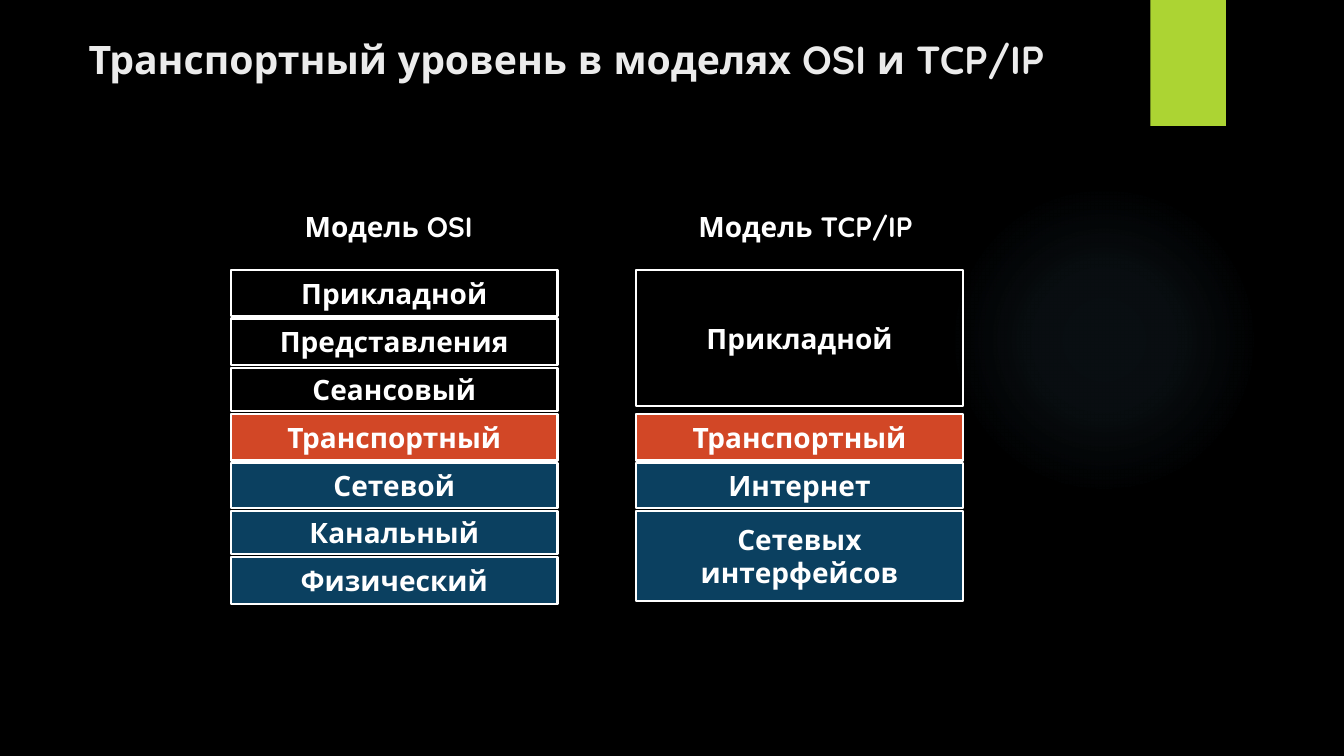
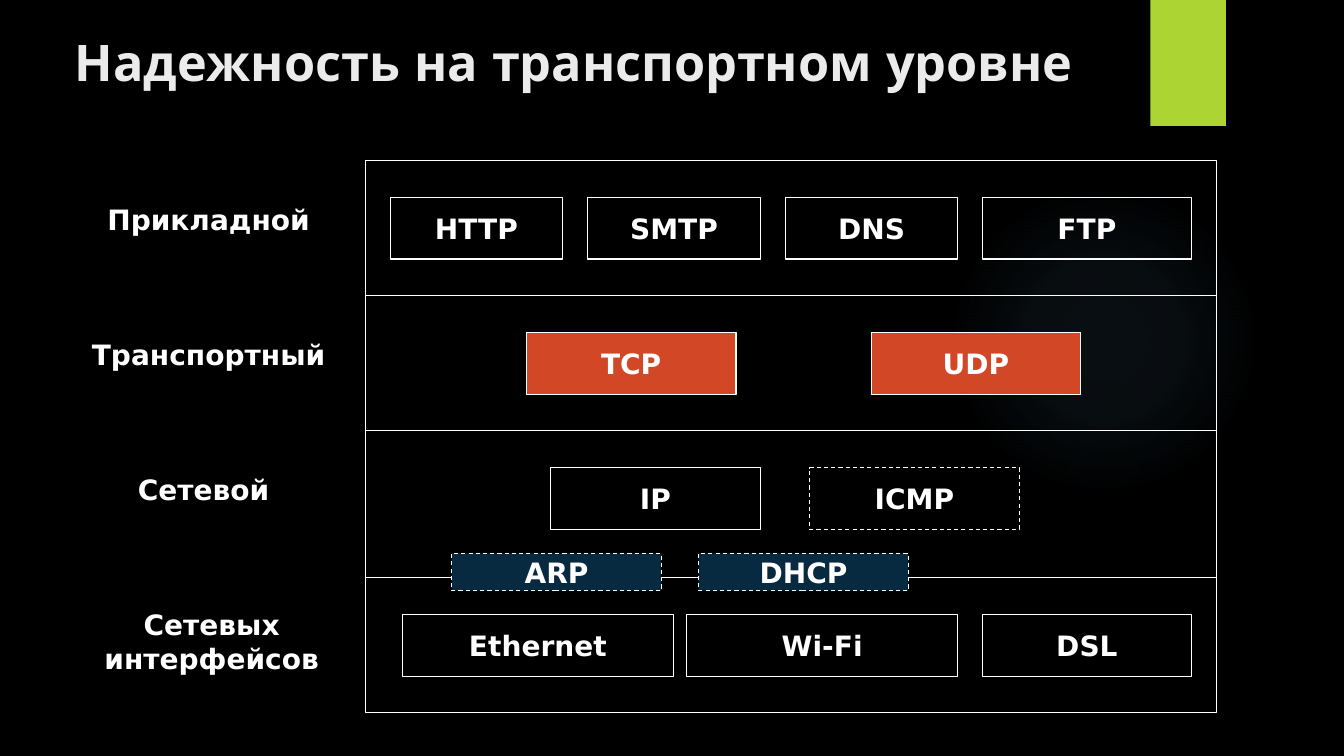
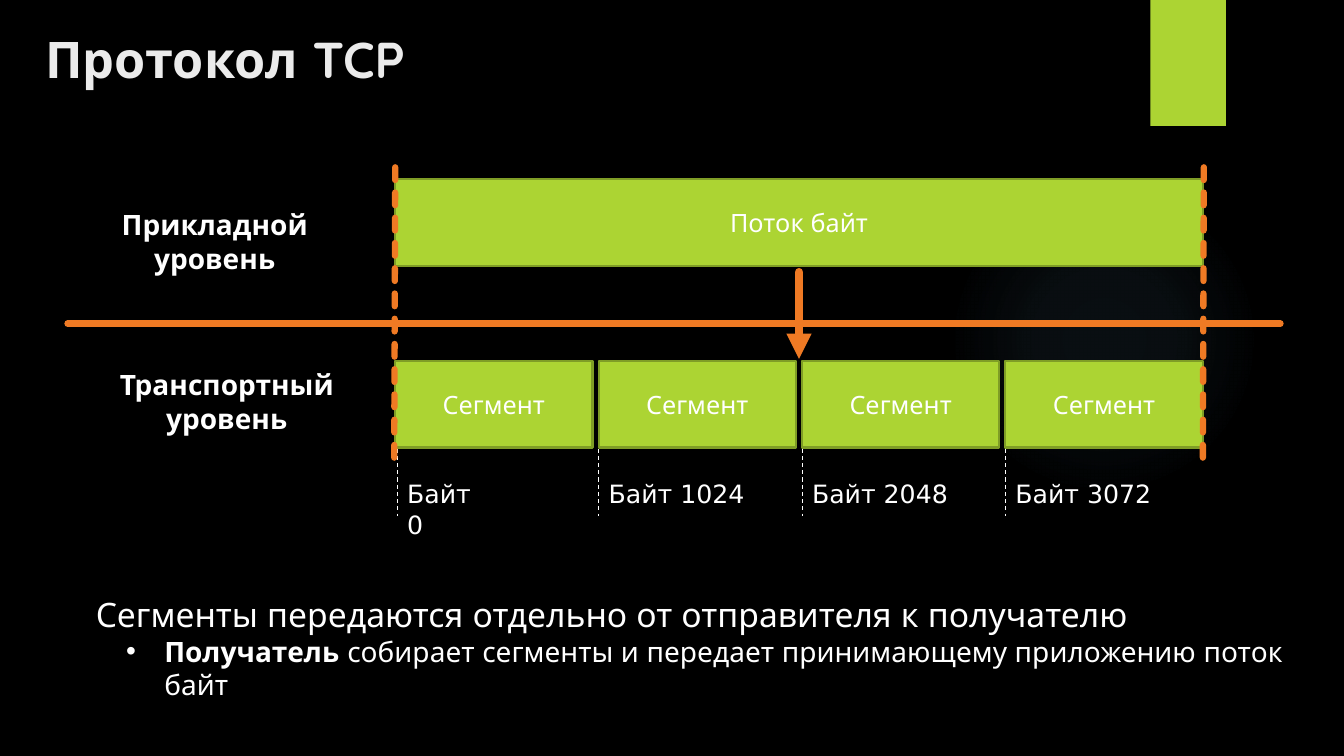
from dataclasses import dataclass

from lxml import etree
from pptx import Presentation
from pptx.dml.color import RGBColor
from pptx.enum.dml import MSO_LINE
from pptx.enum.shapes import MSO_CONNECTOR, MSO_SHAPE
from pptx.enum.text import MSO_ANCHOR as Anchor, MSO_AUTO_SIZE as AutoSize, PP_ALIGN as Align
from pptx.oxml import parse_xml
from pptx.oxml.ns import nsdecls, qn
from pptx.util import Inches, Pt


@dataclass(frozen=True)
class Theme:
    background: str = "000000"
    text: str = "FFFFFF"
    title: str = "EBEBEB"
    lime: str = "ACD433"
    lime_edge: str = "7F9D26"
    orange: str = "EF7A24"
    red: str = "D24726"
    blue: str = "0B4060"
    navy: str = "072A40"
    glow: str = "7AC4F0"
    font: str = "Quicksand"
    plain_font: str = "DejaVu Sans"
    title_size: int = 36
    long_title_size: int = 28
    lead_size: int = 24
    label_size: int = 20
    small_size: int = 18


THEME = Theme()


def rgb(color):
    return RGBColor.from_string(color)


def inches(*lengths):
    return [Inches(length) for length in lengths]


def style(paragraph, size, color=THEME.text, font=THEME.font, bold=None, align=None):
    paragraph.alignment = align
    paragraph.font.size = Pt(size)
    paragraph.font.name = font
    paragraph.font.color.rgb = rgb(color)
    if bold is not None:
        paragraph.font.bold = bold


def set_line(line, color, width, dash=None):
    line.color.rgb = rgb(color)
    line.width = Pt(width)
    if dash is not None:
        line.dash_style = dash


def add_box(slide, box, text="", fill=None, edge=THEME.text, width=0.75, dash=None,
            wrap=True, size=THEME.label_size, font=THEME.font, bold=True):
    """Add an outlined rectangle with centred text; no fill colour leaves it open."""
    rect = slide.shapes.add_shape(MSO_SHAPE.RECTANGLE, *inches(*box))
    rect.shadow.inherit = False
    if fill:
        rect.fill.solid()
        rect.fill.fore_color.rgb = rgb(fill)
    else:
        rect.fill.background()
    set_line(rect.line, edge, width, dash)
    if text:
        frame = rect.text_frame
        frame.word_wrap = wrap
        frame.vertical_anchor = Anchor.MIDDLE
        frame.text = text
        style(frame.paragraphs[0], size, font=font, bold=bold, align=Align.CENTER)


def add_label(slide, box, text, wrap=True, size=THEME.label_size, font=THEME.font,
              bold=True, align=Align.CENTER):
    frame = slide.shapes.add_textbox(*inches(*box)).text_frame
    frame.word_wrap = wrap
    frame.auto_size = AutoSize.SHAPE_TO_FIT_TEXT
    frame.text = text
    style(frame.paragraphs[0], size, font=font, bold=bold, align=align)


def add_line(slide, start, end, color=THEME.text, width=0.75, dash=None,
             rounded=False, arrow=False):
    connector = slide.shapes.add_connector(
        MSO_CONNECTOR.STRAIGHT, *inches(*start), *inches(*end))
    set_line(connector.line, color, width, dash)
    properties = connector.element.spPr
    outline = properties.find(qn("a:ln"))
    if rounded:
        outline.set("cap", "rnd")
    if arrow:
        etree.SubElement(outline, qn("a:tailEnd")).set("type", "triangle")
    etree.SubElement(properties, qn("a:effectLst"))


def place(placeholder, box):
    placeholder.left, placeholder.top, placeholder.width, placeholder.height = inches(*box)
    frame = placeholder.text_frame
    frame.vertical_anchor = Anchor.TOP
    frame.auto_size = AutoSize.NONE
    return frame


def add_titled_slide(prs, layout, title, box, size=THEME.title_size):
    slide = prs.slides.add_slide(layout)
    frame = place(slide.shapes.title, box)
    frame.text = title
    style(frame.paragraphs[0], size, THEME.title, bold=True, align=Align.LEFT)
    return slide


def decorate_master(prs, slide):
    """Give the master its black background, glow and lime tab, drawn by way of a slide."""
    master = prs.slide_master
    master.background.fill.solid()
    master.background.fill.fore_color.rgb = rgb(THEME.background)

    glow = slide.shapes.add_shape(MSO_SHAPE.OVAL, *inches(9.41, 1.83, 3.08, 3.08))
    tab = slide.shapes.add_shape(MSO_SHAPE.RECTANGLE, *inches(11.41, 0, 0.75, 1.25))
    for ornament in (glow, tab):
        ornament.shadow.inherit = False
        ornament.line.fill.background()
    tab.fill.solid()
    tab.fill.fore_color.rgb = rgb(THEME.lime)

    stops = "".join(
        f'<a:gs pos="{position * 1000}"><a:srgbClr val="{THEME.glow}">'
        f'<a:alpha val="{alpha * 1000}"/></a:srgbClr></a:gs>'
        for position, alpha in ((0, 7), (36, 6), (69, 0)))
    gradient = parse_xml(
        f'<a:gradFill {nsdecls("a")}><a:gsLst>{stops}</a:gsLst><a:path path="circle">'
        '<a:fillToRect l="50000" t="50000" r="50000" b="50000"/></a:path></a:gradFill>')
    glow.element.spPr.find(qn("a:prstGeom")).addnext(gradient)

    tree = master.element.cSld.spTree
    for index, ornament in enumerate((glow, tab), start=2):
        tree.insert(index, ornament.element)


def add_layer_stack(slide, left, top, layers):
    for name, offset, height, fill in layers:
        add_box(slide, (left, top + offset, 3.24, height), name, fill, width=1.5)


def build_models(slide):
    stacks_top = 2.68
    add_layer_stack(slide, 2.29, stacks_top, (
        ("Прикладной", 0, 0.46, None),
        ("Представления", 0.48, 0.46, None),
        ("Сеансовый", 0.97, 0.43, None),
        ("Транспортный", 1.43, 0.46, THEME.red),
        ("Сетевой", 1.91, 0.45, THEME.blue),
        ("Канальный", 2.39, 0.43, THEME.blue),
        ("Физический", 2.85, 0.46, THEME.blue),
    ))
    add_layer_stack(slide, 6.31, stacks_top, (
        ("Прикладной", 0, 1.35, None),
        ("Транспортный", 1.43, 0.46, THEME.red),
        ("Интернет", 1.91, 0.45, THEME.blue),
        ("Сетевых интерфейсов", 2.39, 0.89, THEME.blue),
    ))
    add_label(slide, (2.45, 2.03, 2.81, 0.44), "Модель OSI")
    add_label(slide, (6.34, 2.03, 3.3, 0.44), "Модель TCP/IP")


def build_protocol_map(slide, left, top, width, height):
    """Draw the level rows with their labels at the left and their protocols inside."""
    plain = {"font": THEME.plain_font, "wrap": False}
    dash = MSO_LINE.DASH
    # level, row offset, label offset, label centre from the frame's left edge,
    # protocols (name, offset, width, fill, dash)
    levels = (
        ("Прикладной", 0, 0.37, -1.56, (
            ("HTTP", 0.24, 1.71, None, None), ("SMTP", 2.2, 1.71, None, None),
            ("DNS", 4.16, 1.71, None, None), ("FTP", 6.11, 2.08, None, None))),
        ("Транспортный", 1.34, 0.37, -1.56, (
            ("TCP", 1.59, 2.08, THEME.red, None), ("UDP", 5.01, 2.08, THEME.red, None))),
        ("Сетевой", 2.68, 0.37, -1.61, (
            ("IP", 1.83, 2.08, None, None), ("ICMP", 4.4, 2.08, None, dash))),
        ("Сетевых\vинтерфейсов", 4.14, 0.25, -1.53, (
            ("Ethernet", 0.36, 2.69, None, None), ("Wi-Fi", 3.18, 2.69, None, None),
            ("DSL", 6.11, 2.08, None, None))),
    )
    label_width = 2.8
    add_box(slide, (left, top, width, height))
    for level, row_offset, label_offset, center, protocols in levels:
        row_top = top + row_offset
        if row_offset:
            add_line(slide, (left, row_top), (left + width, row_top))
        label_height = 0.77 if "\v" in level else 0.44
        add_label(slide, (left + center - label_width / 2, row_top + label_offset,
                          label_width, label_height), level, **plain)
        for name, offset, box_width, fill, outline in protocols:
            add_box(slide, (left + offset, row_top + 0.37, box_width, 0.61),
                    name, fill, dash=outline, **plain)
    for name, offset in (("ARP", 0.85), ("DHCP", 3.3)):
        add_box(slide, (left + offset, top + 3.9, 2.08, 0.37), name, THEME.navy,
                dash=dash, **plain)


def build_segmentation(slide, left, top, width):
    """Draw the byte stream above the segments it is cut into."""
    bar_height, segment_count, gap = 0.86, 4, 0.06
    segments_top = top + 1.8
    segment_width = (width - gap * (segment_count - 1)) / segment_count
    bar = {"fill": THEME.lime, "edge": THEME.lime_edge, "width": 1.5,
           "size": THEME.small_size, "bold": False}
    accent = {"color": THEME.orange, "rounded": True}

    add_label(slide, (left - 3.34, top + 0.23, 3.1, 0.77), "Прикладной уровень")
    add_label(slide, (left - 3.34, segments_top + 0.02, 3.34, 0.77), "Транспортный уровень")
    add_box(slide, (left, top, width, bar_height), "Поток байт", **bar)
    add_line(slide, (left - 3.25, top + 1.43), (left + 8.78, top + 1.43), width=4.5, **accent)

    for index in range(segment_count):
        segment_left = left + index * (segment_width + gap)
        add_box(slide, (segment_left, segments_top, segment_width, bar_height),
                "Сегмент", **bar)
        marker_left = segment_left if index else segment_left + 0.02
        add_line(slide, (marker_left, top + 2.67), (marker_left, top + 3.34),
                 dash=MSO_LINE.DASH)
        add_label(slide, (marker_left, top + 2.92, 1.55 if index else 1.06, 0.4),
                  f"Байт {index * 1024}", wrap=False, size=THEME.small_size,
                  font=THEME.plain_font, bold=False, align=Align.LEFT)

    middle = left + width / 2
    add_line(slide, (middle, top + 0.92), (middle, top + 1.78), width=6, arrow=True, **accent)
    for edge in (left, left + width + 0.01):
        add_line(slide, (edge, top - 0.12), (edge - 0.01, top + 2.8), width=4.5,
                 dash=MSO_LINE.SQUARE_DOT, **accent)


def set_bullet(paragraph, bullet=None, margin=0, indent=0):
    properties = paragraph._p.get_or_add_pPr()
    properties.set("marL", str(Inches(margin)))
    properties.set("indent", str(Inches(indent)))
    if bullet:
        etree.SubElement(properties, qn("a:buChar")).set("char", bullet)
    else:
        etree.SubElement(properties, qn("a:buNone"))


def fill_summary(placeholder, box):
    frame = place(placeholder, box)
    lead = frame.paragraphs[0]
    lead.text = "Сегменты передаются отдельно от отправителя к получателю"
    detail = frame.add_paragraph()
    for text, bold in (("Получатель ", True),
                       ("собирает сегменты и передает принимающему приложению поток байт", False)):
        run = detail.add_run()
        run.text = text
        run.font.bold = bold
    for paragraph in (lead, detail):
        paragraph.space_before = Pt(0)
    set_bullet(lead)
    set_bullet(detail, "•", 0.68, -0.38)
    style(lead, THEME.lead_size)
    style(detail, THEME.label_size)


def main():
    prs = Presentation()
    prs.slide_width, prs.slide_height = inches(13.33, 7.5)
    title_only = prs.slide_layouts.get_by_name("Title Only")
    title_and_body = prs.slide_layouts.get_by_name("Title and Content")

    models = add_titled_slide(prs, title_only, "Транспортный уровень в моделях OSI и TCP/IP",
                              (0.78, 0.3, 10.29, 0.89), THEME.long_title_size)
    decorate_master(prs, models)
    build_models(models)

    reliability = add_titled_slide(prs, title_only, "Надежность на транспортном уровне",
                                   (0.64, 0.26, 11.05, 0.89))
    build_protocol_map(reliability, 3.63, 1.59, 8.44, 5.48)

    tcp = add_titled_slide(prs, title_and_body, "Протокол TCP", (0.35, 0.23, 11.05, 0.89))
    build_segmentation(tcp, 3.92, 1.78, 8.01)
    fill_summary(tcp.placeholders[1], (0.85, 5.84, 12.12, 1.18))

    prs.save("out.pptx")


if __name__ == "__main__":
    main()
